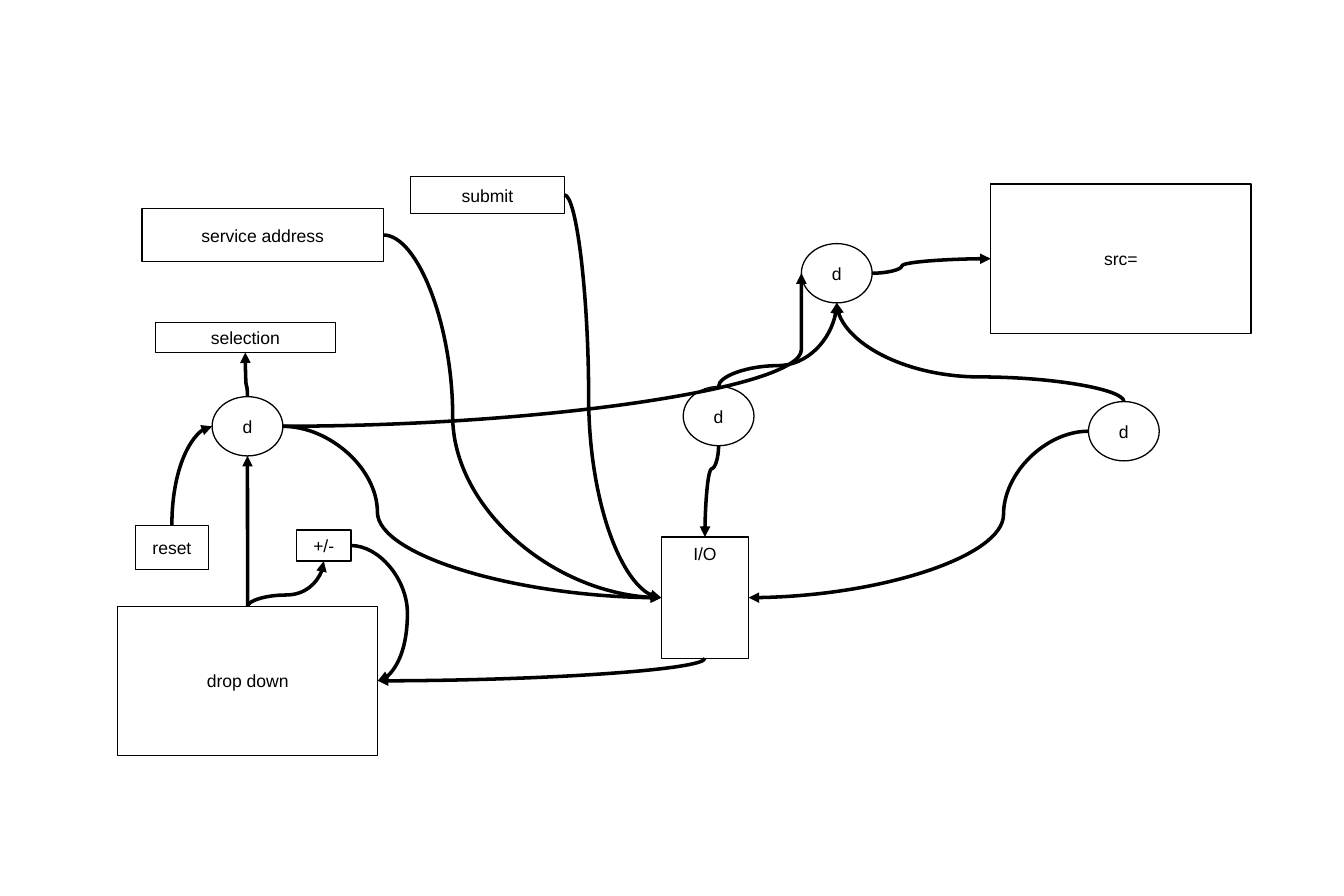
from dataclasses import dataclass

from lxml import etree
from pptx import Presentation
from pptx.dml.color import RGBColor
from pptx.enum.shapes import MSO_CONNECTOR, MSO_SHAPE
from pptx.enum.text import MSO_ANCHOR, PP_ALIGN
from pptx.oxml.ns import qn
from pptx.shapes.autoshape import Shape
from pptx.shapes.connector import Connector
from pptx.shapes.shapetree import SlideShapes
from pptx.util import Pt

RECTANGLE, OVAL = MSO_SHAPE.RECTANGLE, MSO_SHAPE.OVAL
CURVE = MSO_CONNECTOR.CURVE
TOP, MIDDLE = MSO_ANCHOR.TOP, MSO_ANCHOR.MIDDLE
CENTER = PP_ALIGN.CENTER


@dataclass(frozen=True)
class Theme:
    ink: RGBColor = RGBColor(0, 0, 0)
    paper: RGBColor = RGBColor(255, 255, 255)
    font: str = "Arial"
    text_size: float = 10
    line_width: float = 0


@dataclass(frozen=True)
class Node:
    label: str
    left: float
    top: float
    width: float
    height: float
    anchor: MSO_ANCHOR = MIDDLE
    round: bool = False

    def point(self, side: str) -> tuple[float, float]:
        across, down = SIDES[side].place
        return self.left + across * self.width, self.top + down * self.height


@dataclass(frozen=True)
class Side:
    place: tuple[float, float]
    site: int  # connection site on a rectangle; an oval has twice as many
    turn: int  # direction in which a line leaves, in degrees


@dataclass(frozen=True)
class Flow:
    source: str
    source_side: str
    target: str
    target_side: str
    bend: float | None = 0.25  # None makes a single quarter curve


THEME = Theme()
SIDES = {
    "top": Side((0.5, 0), 0, 270),
    "left": Side((0, 0.5), 1, 180),
    "bottom": Side((0.5, 1), 2, 90),
    "right": Side((1, 0.5), 3, 0),
}


def dispatcher(left: float, top: float) -> Node:
    return Node("d", left, top, 40.3, 33.8, round=True)


def panel(label: str, left: float, top: float) -> Node:
    return Node(label, left, top, 148.3, 85)


NODES = {
    "io": Node("I/O", 376.6, 306, 49.7, 69.1, anchor=TOP),
    "address": Node("service address", 80.8, 118.8, 137.5, 30.2),
    "selection": Node("selection", 88.4, 183.6, 102.6, 17.2),
    "toggle": Node("+/-", 168.9, 302, 31, 17.7),
    "reset": Node("reset", 77.1, 299.3, 41.6, 25.1),
    "drop down": panel("drop down", 66.9, 345.4),
    "submit": Node("submit", 233.7, 100.6, 87.8, 21),
    "choice d": dispatcher(120.8, 226),
    "request d": dispatcher(389.1, 220.2),
    "reply d": dispatcher(619.9, 228.8),
    "source d": dispatcher(456.4, 138.8),
    "source": panel("src=", 564.2, 104.9),
}

FLOWS = [
    Flow("submit", "right", "io", "left"),
    Flow("address", "right", "io", "left"),
    Flow("choice d", "top", "selection", "bottom"),
    Flow("toggle", "right", "drop down", "right", bend=2.1),
    Flow("reset", "top", "choice d", "left", bend=None),
    Flow("drop down", "top", "choice d", "bottom"),
    Flow("choice d", "right", "io", "left"),
    Flow("request d", "bottom", "io", "top"),
    Flow("reply d", "left", "io", "right"),
    Flow("choice d", "right", "source d", "left", bend=1),
    Flow("request d", "top", "source d", "bottom"),
    Flow("reply d", "top", "source d", "bottom"),
    Flow("source d", "right", "source", "left"),
    Flow("io", "bottom", "drop down", "right", bend=None),
    Flow("drop down", "top", "toggle", "bottom"),
]


def draw_node(shapes: SlideShapes, node: Node) -> Shape:
    box = shapes.add_shape(OVAL if node.round else RECTANGLE, Pt(node.left),
                           Pt(node.top), Pt(node.width), Pt(node.height))
    box.shadow.inherit = False
    box.fill.solid()
    box.fill.fore_color.rgb = THEME.paper
    box.line.color.rgb = THEME.ink
    box.line.width = Pt(THEME.line_width)

    frame = box.text_frame
    frame.text = node.label
    frame.word_wrap = not node.round
    frame.vertical_anchor = node.anchor
    paragraph = frame.paragraphs[0]
    paragraph.alignment = CENTER
    font = paragraph.runs[0].font
    font.name, font.size = THEME.font, Pt(THEME.text_size)
    font.color.rgb = THEME.ink
    return box


def attach(connector: Connector, tag: str, box: Shape, node: Node, side: str) -> None:
    links = connector.element.find(".//" + qn("p:cNvCxnSpPr"))
    site = SIDES[side].site * (2 if node.round else 1)
    etree.SubElement(links, qn(tag), id=str(box.shape_id), idx=str(site))


def draw_flow(shapes: SlideShapes, flow: Flow, boxes: dict[str, Shape]) -> None:
    source, target = NODES[flow.source], NODES[flow.target]
    start_x, start_y = source.point(flow.source_side)
    end_x, end_y = target.point(flow.target_side)
    dx, dy = end_x - start_x, end_y - start_y

    # Turn the run so that the line leaves its source to the right
    turn = SIDES[flow.source_side].turn
    along, across = {0: (dx, dy), 90: (dy, -dx),
                     180: (-dx, -dy), 270: (-dy, dx)}[turn]
    width, height = abs(along), abs(across)
    left = (start_x + end_x - width) / 2
    top = (start_y + end_y - height) / 2
    connector = shapes.add_connector(CURVE, Pt(left), Pt(top),
                                     Pt(left + width), Pt(top + height))
    attach(connector, "a:stCxn", boxes[flow.source], source, flow.source_side)
    attach(connector, "a:endCxn", boxes[flow.target], target, flow.target_side)
    connector.line.color.rgb = THEME.ink
    connector.line.width = Pt(THEME.line_width)

    # Rotation, bend and arrowhead
    properties = connector.element.spPr
    frame = properties.find(qn("a:xfrm"))
    frame.set("rot", str(turn * 60000))
    if along < 0:
        frame.set("flipH", "1")
    if across < 0:
        frame.set("flipV", "1")
    geometry = properties.find(qn("a:prstGeom"))
    if flow.bend is None:
        geometry.set("prst", "curvedConnector2")
    else:
        etree.SubElement(geometry.find(qn("a:avLst")), qn("a:gd"), name="adj1",
                         fmla=f"val {round(flow.bend * 100000)}")
    etree.SubElement(properties.find(qn("a:ln")), qn("a:tailEnd"), type="triangle")
    etree.SubElement(properties, qn("a:effectLst"))


def main() -> None:
    presentation = Presentation()
    presentation.slide_width, presentation.slide_height = Pt(765.4), Pt(510.5)
    slide = presentation.slides.add_slide(presentation.slide_layouts[6])

    # Boxes and dispatchers
    boxes = {key: draw_node(slide.shapes, node) for key, node in NODES.items()}

    # Data flows
    for flow in FLOWS:
        draw_flow(slide.shapes, flow, boxes)

    presentation.save("out.pptx")


if __name__ == "__main__":
    main()
